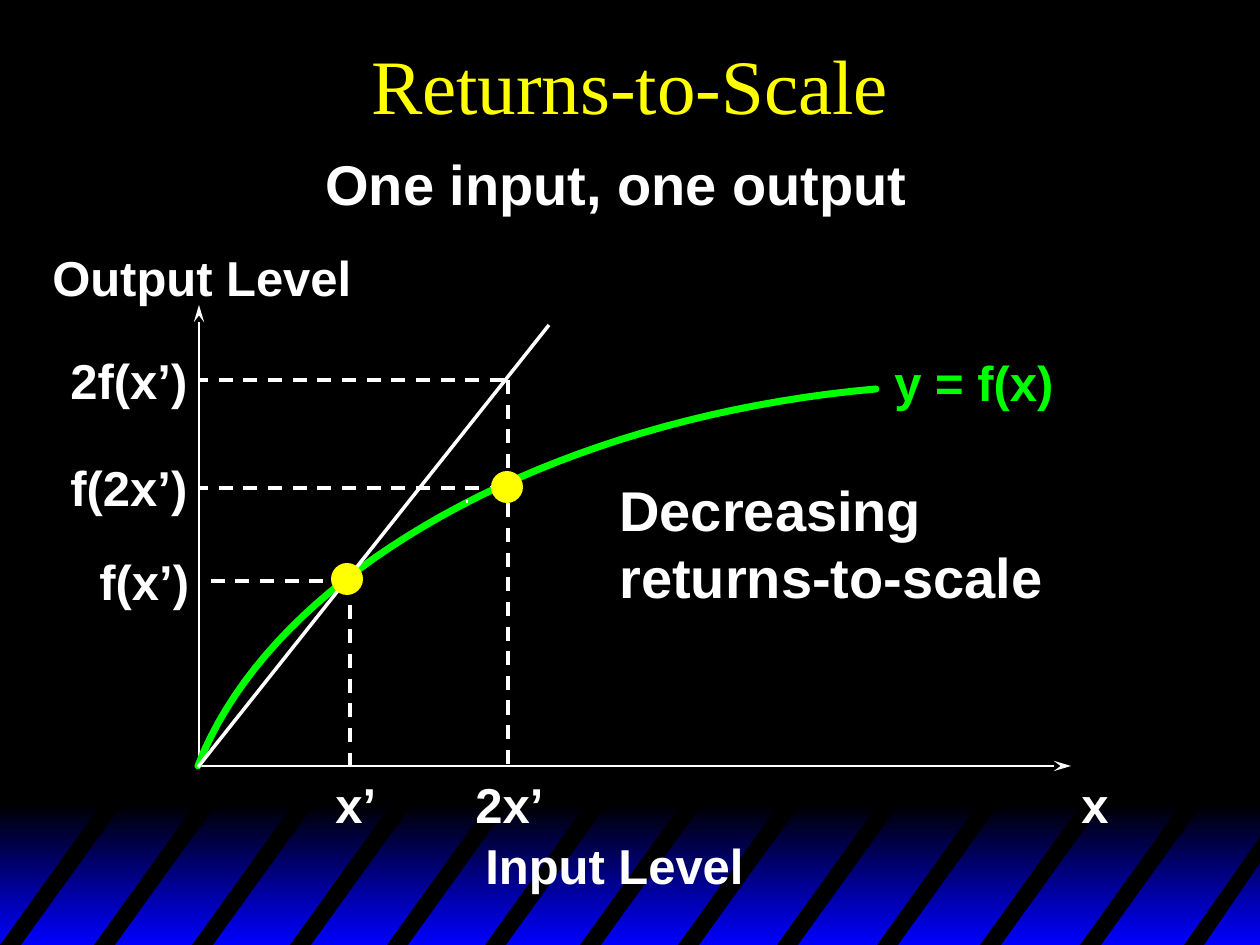
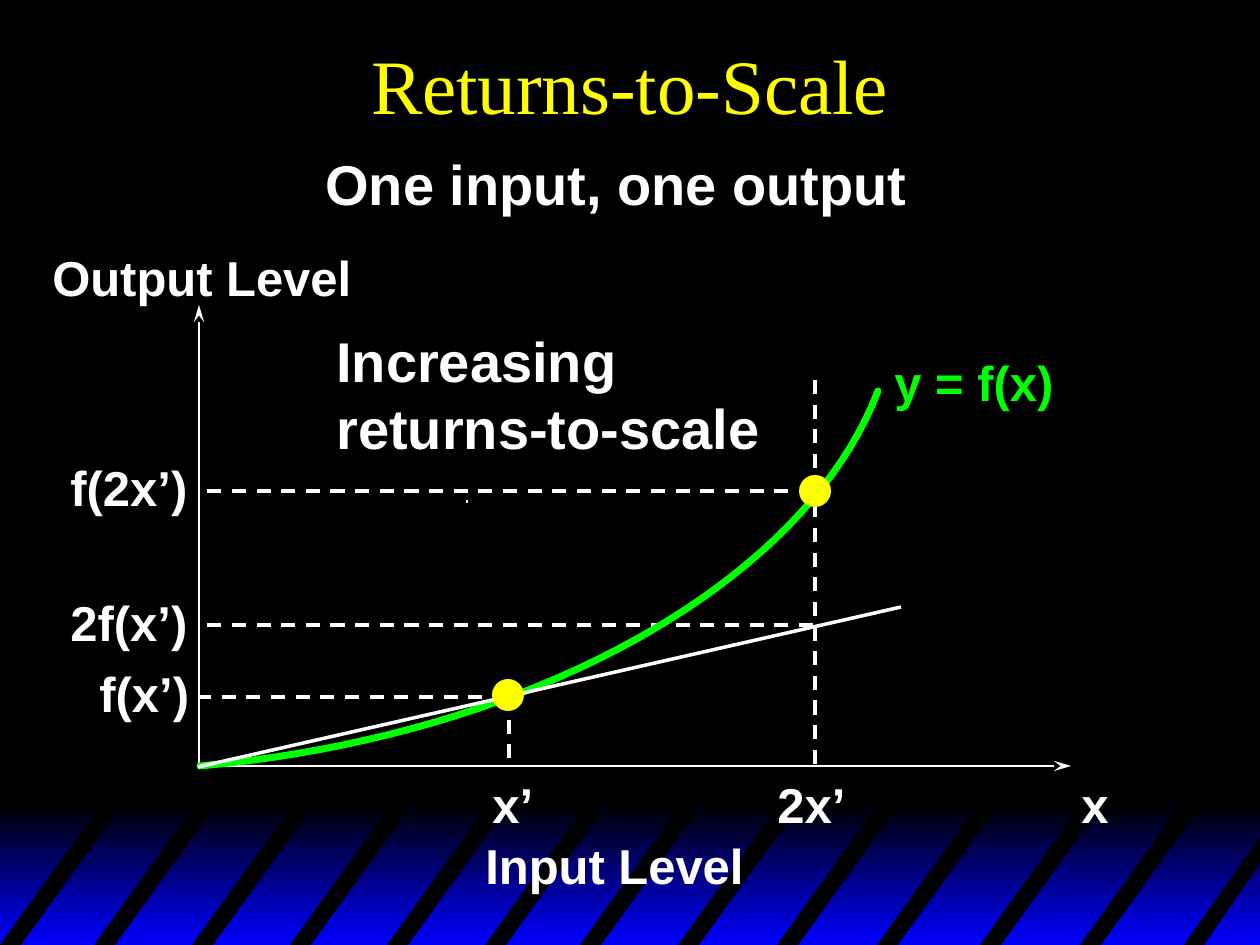
import pptx
import pptx.util
import pptx.dml.color
import pptx.enum.dml
import pptx.enum.shapes
import pptx.enum.text
import pptx.oxml
import pptx.oxml.ns

SCALE = 914400 / 126
WIDE, HIGH = 1260, 945
WHITE, BLACK, BLUE = "FFFFFF", "000000", "0000FF"
YELLOW, GREEN = "FFFF00", "00FF00"
SANS, SERIF = "Arial", "Times New Roman"
TITLE = "Returns-to-Scale"
LEFT, TOP, RIGHT, BASE = 199, 305, 1071, 766
DOT = 32

STRIPES = [0, 94, 192, 290, 387, 485, 580, 678, 777, 877, 980, 1080]
CORNER = [(1184, HIGH), (WIDE, 837), (WIDE, 863), (1204, HIGH)]

SHARED = [
    ("One input, one output", 313, 143, 650, 79, 32, WHITE),
    ("Output Level", 40, 241, 340, 72, 28, WHITE),
    ("Input Level", 473, 829, 315, 72, 28, WHITE),
    ("x", 1069, 768, 60, 72, 28, WHITE),
    ("y = f(x)", 882, 346, 210, 72, 28, GREEN),
]

PLOTS = [
    {
        "name": ("Decreasing\nreturns-to-scale", 607, 469),
        "ticks": [("x’", 323, 768, 80), ("2x’", 463, 768, 110),
                  ("f(x’)", 87, 545, 130), ("f(2x’)", 58, 451, 160),
                  ("2f(x’)", 58, 344, 160)],
        "dashes": [(350, 580, 350, BASE), (348, 581, LEFT, 581),
                   (508, 380, 508, BASE), (504, 488, 198, 488),
                   (504, 380, 198, 380)],
        "curve": [(198, 766), (273, 572), (549, 418), (876, 389)],
        "ray": (549, 325),
        "dots": [(507, 487), (347, 579)],
    },
    {
        "name": ("Increasing\nreturns-to-scale", 324, 320),
        "ticks": [("x’", 480, 768, 80), ("2x’", 765, 768, 110),
                  ("f(x’)", 87, 657, 130), ("f(2x’)", 58, 451, 160),
                  ("2f(x’)", 58, 586, 160)],
        "dashes": [(509, 695, 509, 765), (507, 697, 198, 697),
                   (815, 380, 815, BASE), (813, 491, 198, 491),
                   (813, 625, 198, 625)],
        "curve": [(878, 391), (804, 585), (528, 737), (200, 766)],
        "ray": (901, 607),
        "dots": [(815, 491), (508, 695)],
    },
]


def px(*nums):
    return [pptx.util.Emu(round(n * SCALE)) for n in nums]


def tint(code):
    return pptx.dml.color.RGBColor.from_string(code)


def paint(fill, code):
    fill.solid()
    fill.fore_color.rgb = tint(code)


def write(frame, text, size=28, color=WHITE, font=SANS, bold=True, wrap=False, align="LEFT"):
    frame.word_wrap = wrap
    para = frame.paragraphs[0]
    para.text = text
    para.alignment = getattr(pptx.enum.text.PP_ALIGN, align)
    for run in para.runs:
        run.font.name, run.font.bold = font, bold
        run.font.size = pptx.util.Pt(size)
        run.font.color.rgb = tint(color)


def label(slide, text, x, y, w, h=72, size=28, color=WHITE):
    write(slide.shapes.add_textbox(*px(x, y, w, h)).text_frame, text, size=size, color=color)


def rule(slide, ends, width=1, dash=False, arrow=False):
    line = slide.shapes.add_connector(pptx.enum.shapes.MSO_CONNECTOR.STRAIGHT, *px(*ends))
    line.line.width = pptx.util.Pt(width)
    line.line.color.rgb = tint(WHITE)
    if dash:
        line.line.dash_style = pptx.enum.dml.MSO_LINE.DASH
    props = line.element.spPr
    space = pptx.oxml.ns.nsdecls("a")
    if arrow:
        tip = pptx.oxml.parse_xml(f'<a:tailEnd {space} type="stealth" w="med" len="lg"/>')
        props.find(pptx.oxml.ns.qn("a:ln")).append(tip)
    props.append(pptx.oxml.parse_xml(f"<a:effectLst {space}/>"))


def trace(shapes, points, close):
    first, *rest = [px(*p) for p in points]
    pen = shapes.build_freeform(*first, scale=1.0)
    pen.add_line_segments(rest, close=close)
    shape = pen.convert_to_shape()
    shape.shadow.inherit = False
    return shape


def solid(shapes, kind, box, color):
    shape = shapes.add_shape(getattr(pptx.enum.shapes.MSO_SHAPE, kind), *px(*box))
    shape.shadow.inherit = False
    shape.line.fill.background()
    paint(shape.fill, color)
    return shape


def bezier(a, b, c, d, steps=40):
    for n in range(steps + 1):
        t = n / steps
        u = 1 - t
        yield tuple(u**3 * i + 3 * u * u * t * j + 3 * u * t * t * k + t**3 * m
                    for i, j, k, m in zip(a, b, c, d))


def band(slide, layout):
    group = slide.shapes.add_group_shape()
    floor = solid(group.shapes, "RECTANGLE", (0, 804, WIDE, HIGH - 804), BLUE)
    floor.fill.gradient()
    floor.fill.gradient_angle = 270
    for stop, code in zip(floor.fill.gradient_stops, (BLACK, BLUE)):
        stop.color.rgb = tint(code)
    bars = [[(x, HIGH), (x + 105, 799), (x + 126, 799), (x + 21, HIGH)] for x in STRIPES]
    for points in bars + [CORNER]:
        bar = trace(group.shapes, points, True)
        paint(bar.fill, BLACK)
        bar.line.fill.background()
    layout.shapes.element.append(group.element)
    for n, node in enumerate(layout.element.iter(pptx.oxml.ns.qn("p:cNvPr")), 1):
        node.set("id", str(n))


def head(slide):
    title = slide.shapes.title
    title.left, title.top, title.width, title.height = px(0, 0, WIDE, 168)
    title.text_frame.vertical_anchor = pptx.enum.text.MSO_ANCHOR.MIDDLE
    write(title.text_frame, TITLE, size=44, color=YELLOW, font=SERIF,
          bold=False, wrap=True, align="CENTER")


def draw(slide, plot):
    rule(slide, (LEFT, BASE, LEFT, TOP), arrow=True)
    rule(slide, (LEFT, BASE, RIGHT, BASE), arrow=True)
    for ends in plot["dashes"]:
        rule(slide, ends, width=2, dash=True)
    curve = trace(slide.shapes, bezier(*plot["curve"]), False)
    curve.fill.background()
    curve.line.color.rgb = tint(GREEN)
    curve.line.width = pptx.util.Pt(4)
    curve.element.spPr.find(pptx.oxml.ns.qn("a:ln")).set("cap", "rnd")
    rule(slide, (467, 503, 467, 500))
    rule(slide, (198, 767, *plot["ray"]), width=2)
    for x, y in plot["dots"]:
        solid(slide.shapes, "OVAL", (x - DOT // 2, y - DOT // 2, DOT, DOT), YELLOW)
    for item in SHARED + plot["ticks"]:
        label(slide, *item)
    label(slide, *plot["name"], 470, 147, size=32)


def main():
    deck = pptx.Presentation()
    deck.slide_width, deck.slide_height = px(WIDE, HIGH)
    paint(deck.slide_master.background.fill, BLACK)
    layout = deck.slide_layouts[5]
    slides = [deck.slides.add_slide(layout) for plot in PLOTS]
    band(slides[0], layout)
    for slide, plot in zip(slides, PLOTS):
        head(slide)
        draw(slide, plot)
    deck.save("out.pptx")


if __name__ == "__main__":
    main()
